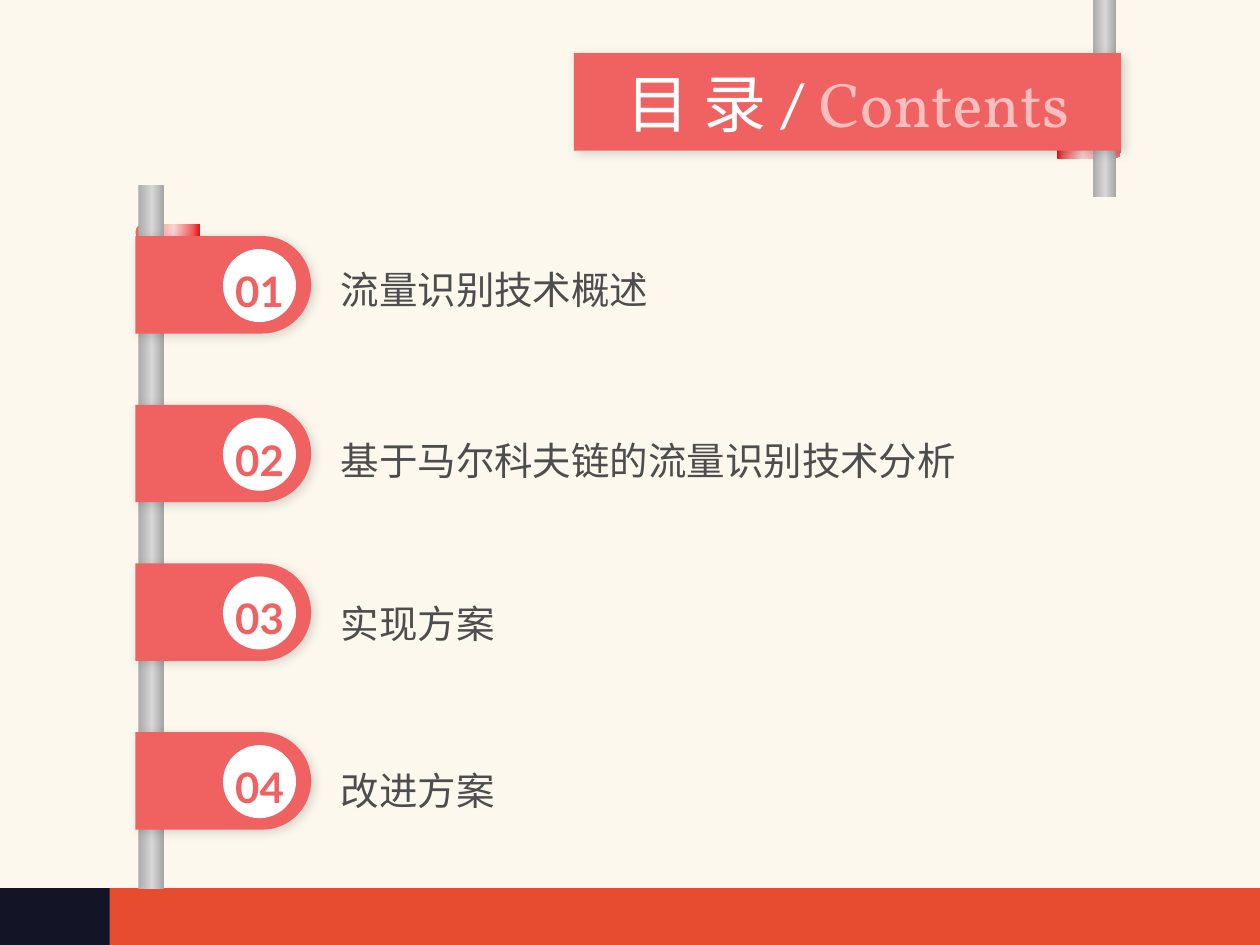
from lxml import etree
from pptx import Presentation
from pptx.dml.color import RGBColor
from pptx.enum.shapes import MSO_SHAPE
from pptx.enum.text import MSO_ANCHOR, MSO_AUTO_SIZE, PP_ALIGN
from pptx.oxml import parse_xml
from pptx.oxml.ns import qn
from pptx.util import Pt

RECT, OVAL = MSO_SHAPE.RECTANGLE, MSO_SHAPE.OVAL
MIDDLE, TOP = MSO_ANCHOR.MIDDLE, MSO_ANCHOR.TOP
CENTER, JUSTIFY = PP_ALIGN.CENTER, PP_ALIGN.JUSTIFY
FIXED, GROW = MSO_AUTO_SIZE.NONE, MSO_AUTO_SIZE.SHAPE_TO_FIT_TEXT
NS = "http://schemas.openxmlformats.org/drawingml/2006/main"

# Content: number, heading, top of tab, top of heading (points)
ITEMS = [
    ("01", "流量识别技术概述", 134.9, 140.4),
    ("02", "基于马尔科夫链的流量识别技术分析", 231.3, 238.3),
    ("03", "实现方案", 322, 331.2),
    ("04", "改进方案", 418.4, 427),
]
TITLE = [("目 录 ", "Noto Sans CJK SC", "FFFFFF"),
         ("/ ", "Calibri", "FFFFFF"),
         ("Contents", "Vollkorn", "F9BFBF")]

CREAM, ORANGE, NAVY = "FCF8ED", "E74C2E", "131426"
CORAL, WHITE, GREY = "F06262", "FFFFFF", "4D4D4D"
STEEL = [(0, "ABABAB"), (54, "D7D7D7"), (100, "A5A5A5")]
FOLD = [(0, "F06262"), (60, "FBD1D1"), (89, "F06262"), (100, "E81616")]
FOLD_BACK = [(100 - pos, color) for pos, color in reversed(FOLD)]

# Layout
TAB_X, TAB_W, TAB_H = 77.4, 100.4, 55.7
FOLD_W, FOLD_H = 36.6, 9
BADGE_X, BADGE_DY, BADGE = 127.8, 7.8, 41
TEXT_X, TEXT_W, TEXT_H = 187.7, 393, 39
BANNER_X, BANNER_Y, BANNER_W = 328, 30.4, 312.7
ARC = 0.5523  # handle length of a quarter circle, in radii


def rgb(color):
    return RGBColor.from_string(color)


def paint(sp, fill, line=None):
    sp.shadow.inherit = False
    if isinstance(fill, str):
        sp.fill.solid()
        sp.fill.fore_color.rgb = rgb(fill)
    else:
        stops = "".join(f'<a:gs pos="{pos * 1000}"><a:srgbClr val="{color}"/></a:gs>'
                        for pos, color in fill)
        geom = sp._element.spPr.find(qn("a:custGeom"))
        if geom is None:
            geom = sp._element.spPr.find(qn("a:prstGeom"))
        geom.addnext(parse_xml(f'<a:gradFill xmlns:a="{NS}" rotWithShape="1"><a:gsLst>{stops}'
                               '</a:gsLst><a:lin ang="0" scaled="0"/></a:gradFill>'))
    if line:
        sp.line.color.rgb = rgb(line)
        sp.line.width = Pt(0.75)
    else:
        sp.line.fill.background()
    return sp


def shape(kind, x, y, w, h, fill, line=None):
    return paint(s.shapes.add_shape(kind, Pt(x), Pt(y), Pt(w), Pt(h)), fill, line)


def curve(line_to, *handles):
    """Turn a straight segment into a curve with the given handles."""
    line_to.tag = qn("a:cubicBezTo")
    for i, (hx, hy) in enumerate(handles):
        line_to.insert(i, etree.Element(qn("a:pt"), x=str(Pt(hx)), y=str(Pt(hy))))


def ribbon(x, y, w, h, fill, round_right, shadow=False):
    """A strip with one square end and one half-round end."""
    r = h / 2
    square, start, tip = (0, w - r, w) if round_right else (w, r, 0)
    fb = s.shapes.build_freeform(Pt(square), Pt(0))
    fb.add_line_segments([(Pt(px), Pt(py)) for px, py in
                          [(start, 0), (tip, r), (start, h), (square, h)]])
    sp = fb.convert_to_shape(Pt(x), Pt(y))
    segments = list(sp._element.spPr.iter(qn("a:lnTo")))
    bulge, rise = start + (tip - start) * ARC, r * ARC
    curve(segments[1], (bulge, 0), (tip, r - rise))
    curve(segments[2], (tip, r + rise), (bulge, h))
    paint(sp, fill)
    if shadow:
        effects = sp._element.spPr.find(qn("a:effectLst"))
        outer = etree.SubElement(effects, qn("a:outerShdw"), blurRad=str(Pt(6)),
                                 dist=str(Pt(2)), dir="2700000", algn="tl", rotWithShape="0")
        color = etree.SubElement(outer, qn("a:srgbClr"), val="000000")
        etree.SubElement(color, qn("a:alpha"), val="15000")
    return sp


def write(sp, runs, size, align, anchor, margins, spacing=1.0, bold=False, fit=FIXED):
    tf = sp.text_frame
    mx, my = margins
    frame = dict(word_wrap=True, auto_size=fit, vertical_anchor=anchor,
                 margin_left=Pt(mx), margin_right=Pt(mx),
                 margin_top=Pt(my), margin_bottom=Pt(my))
    for name, value in frame.items():
        setattr(tf, name, value)
    p = tf.paragraphs[0]
    p.alignment, p.line_spacing = align, spacing
    for text, font, color in runs:
        r = p.add_run()
        r.text = text
        for name, value in dict(name=font, size=Pt(size), bold=bold).items():
            setattr(r.font, name, value)
        r.font.color.rgb = rgb(color)
        etree.SubElement(r.font._element, qn("a:ea"), typeface=font)


prs = Presentation()
prs.slide_width, prs.slide_height = Pt(720), Pt(540)
s = prs.slides.add_slide(prs.slide_layouts[5])

# Background and footer bar
shape(RECT, 0, 0, 720, 540, CREAM)
shape(RECT, 0, 507.5, 720, 32.5, ORANGE)
shape(RECT, 0, 507.5, 62.7, 32.5, NAVY)

# Title pole, and the title placeholder in the form of a banner
ribbon(BANNER_X + BANNER_W - FOLD_W, 81.6, FOLD_W, FOLD_H, FOLD_BACK, True)
shape(RECT, 624.5, 0, 13.2, 112.5, STEEL)
banner = ribbon(BANNER_X, BANNER_Y, BANNER_W, TAB_H, CORAL, False, shadow=True)._element
title = s.shapes.title
title._element.replace(title._element.spPr, banner.spPr)
s.shapes._spTree.replace(banner, title._element)
write(title, TITLE, 36, CENTER, MIDDLE, (5, 3))

# Contents pole
ribbon(TAB_X, 128.2, FOLD_W, FOLD_H, FOLD, False)
shape(RECT, 79, 105.8, 14.6, 402.3, STEEL)

# Contents entries
for number, heading, tab_y, text_y in ITEMS:
    ribbon(TAB_X, tab_y, TAB_W, TAB_H, CORAL, True, shadow=True)
    badge = shape(OVAL, BADGE_X, tab_y + BADGE_DY, BADGE, BADGE, WHITE, WHITE)
    write(badge, [(number, "Lato", CORAL)], 24, CENTER, MIDDLE, (0, 0), 1.2, True)
    box = s.shapes.add_textbox(Pt(TEXT_X), Pt(text_y), Pt(TEXT_W), Pt(TEXT_H))
    write(box, [(heading, "Noto Sans CJK SC", GREY)], 22, JUSTIFY, TOP, (7.2, 3.6), 1.3, fit=GROW)

prs.save("out.pptx")
